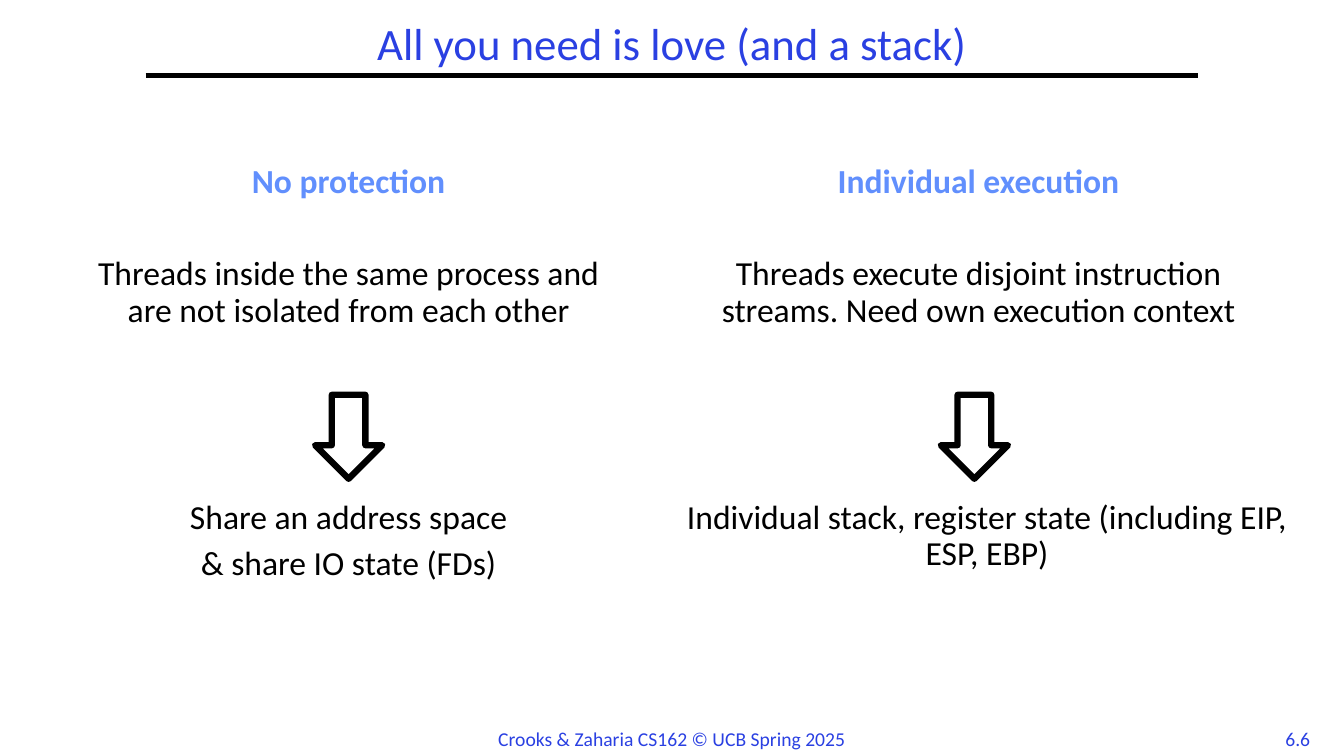
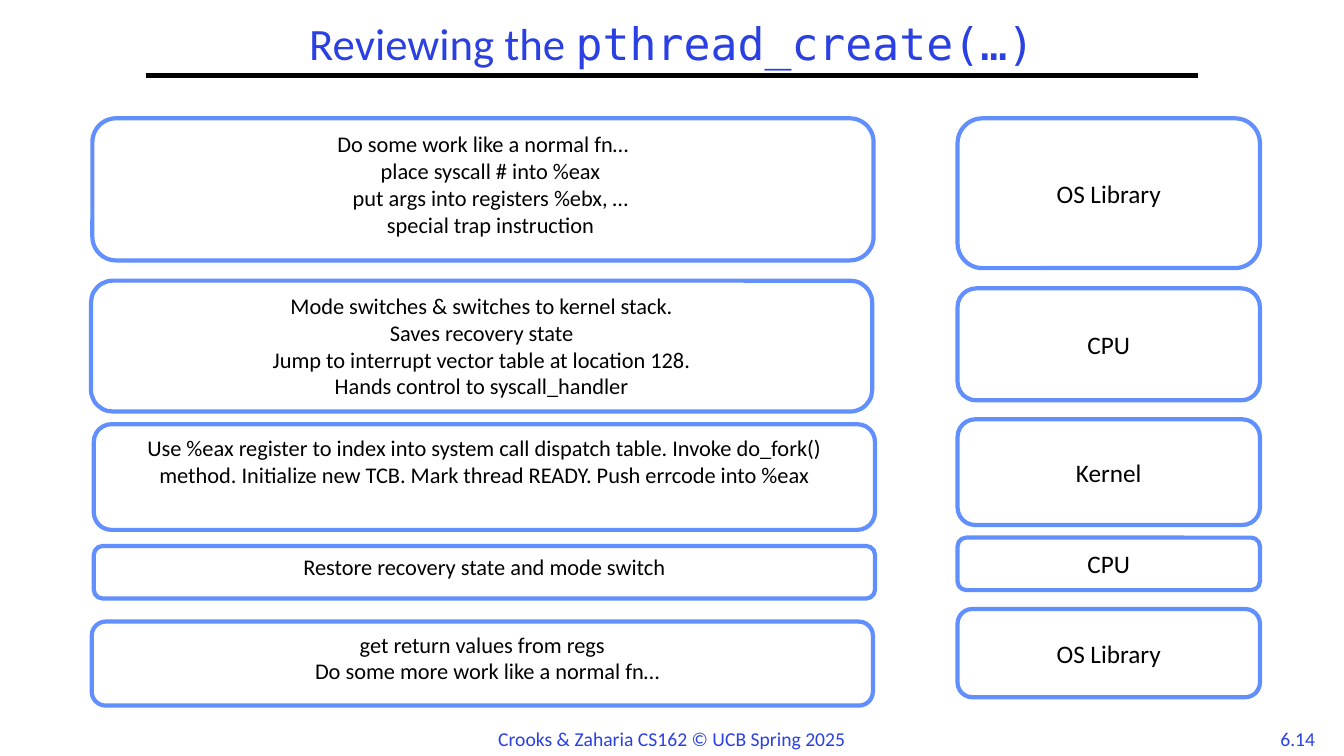
from lxml import etree
from pptx import Presentation
from pptx.dml.color import RGBColor
from pptx.enum import shapes, text
from pptx.oxml.ns import qn
from pptx.util import Pt

COLORS = {
    name: RGBColor.from_string(value)
    for name, value in {
        "title": "2A40E2", "accent": "618FFD", "ink": "000000", "paper": "FFFFFF",
    }.items()
}
FONT, MONO = "Calibri", "DejaVu Sans Mono"
FOOTER = "Crooks & Zaharia CS162 © UCB Spring 2025"
TIGHT = 0.9  # line spacing of titles and body text
TITLE_LEFT, TITLE_WIDTH, RULE_TOP = 104, 752, 54


def write(sp, lines, size, color="ink", anchor=text.MSO_ANCHOR.TOP, spacing=None):
    """Fill a shape with centred paragraphs and return them."""
    tf = sp.text_frame
    tf.word_wrap = True
    tf.vertical_anchor = anchor
    for i, line in enumerate(lines):
        p = tf.add_paragraph() if i else tf.paragraphs[0]
        p.text = line
        p.alignment = text.PP_ALIGN.CENTER
        p.line_spacing = spacing
        p.font.name, p.font.size = FONT, Pt(size)
        p.font.color.rgb = COLORS[color]
    return tf.paragraphs


def outlined(s, kind, box, color, weight):
    """Add a white preset shape with a coloured outline."""
    sp = s.shapes.add_shape(kind, *map(Pt, box))
    sp.shadow.inherit = False
    sp.fill.solid()
    sp.fill.fore_color.rgb = COLORS["paper"]
    sp.line.color.rgb = COLORS[color]
    sp.line.width = Pt(weight)
    return sp


prs = Presentation()
prs.slide_width, prs.slide_height = Pt(960), Pt(540)

# Shared parts: title, rule, footer and page number
for title, mono_title, number in [
    ("All you need is love (and a stack)", "", "6.6"),
    ("Reviewing the ", "pthread_create(…)", "6.14"),
]:
    s = prs.slides.add_slide(prs.slide_layouts[6])

    sp = s.shapes.add_textbox(Pt(TITLE_LEFT), Pt(12), Pt(TITLE_WIDTH), Pt(42))
    p = write(sp, [title], 32, "title", text.MSO_ANCHOR.MIDDLE, TIGHT)[0]
    if mono_title:
        r = p.add_run()
        r.text, r.font.name = mono_title, MONO

    rule = s.shapes.add_connector(
        shapes.MSO_CONNECTOR.STRAIGHT,
        Pt(TITLE_LEFT), Pt(RULE_TOP), Pt(TITLE_LEFT + TITLE_WIDTH), Pt(RULE_TOP))
    rule.line.color.rgb = COLORS["ink"]
    rule.line.width = Pt(3)
    etree.SubElement(rule._element.spPr, qn("a:effectLst"))  # no shadow

    for left, width, label in [(340, 280, FOOTER), (902, 50, number)]:
        sp = s.shapes.add_textbox(Pt(left), Pt(515.5), Pt(width), Pt(24))
        write(sp, [label], 14, "title")

threads_slide, create_slide = prs.slides

# Threads slide: each column has a heading, a reason, an arrow and a result
COLUMN_WIDTH = 390
columns = [
    # left, heading, reason, arrow left, result left, result width, result
    (54, "No protection",
     "Threads inside the same process and are not isolated from each other",
     225, 54, COLUMN_WIDTH, ["Share an address space", "& share IO state (FDs)"]),
    (504, "Individual execution",
     "Threads execute disjoint instruction streams. Need own execution context",
     672, 462, 486, ["Individual stack, register state (including EIP, ESP, EBP)"]),
]
for left, heading, reason, arrow_left, result_left, result_width, result in columns:
    sp = threads_slide.shapes.add_textbox(Pt(left), Pt(114), Pt(COLUMN_WIDTH), Pt(192))
    head, body = write(sp, [heading, reason], 24, spacing=TIGHT)
    head.font.bold = True
    head.font.color.rgb = COLORS["accent"]
    body.space_before = Pt(40)

    arrow_box = (arrow_left, 282, 48, 60)
    outlined(threads_slide, shapes.MSO_SHAPE.DOWN_ARROW, arrow_box, "ink", 4.5)

    sp = threads_slide.shapes.add_textbox(Pt(result_left), Pt(354), Pt(result_width), Pt(42))
    for p in write(sp, result, 24, spacing=TIGHT)[1:]:
        p.space_before = Pt(6.6)

# Create slide: each row pairs a step on the left with its actor on the right
ACTOR_LEFT, ACTOR_WIDTH, STEP_WIDTH = 684, 216, 558
rows = [
    # actor, actor top and height, step left, top and height, later indent, lines
    ("OS Library", (84.5, 107), (66, 84.5, 101.5), 10.8,
     ["Do some work like a normal fn…", "place syscall # into %eax",
      "put args into registers %ebx, …", "special trap instruction"]),
    ("CPU", (206, 80), (65, 200.5, 93.5), 0,
     ["Mode switches & switches to kernel stack.", "Saves recovery state",
      "Jump to interrupt vector table at location 128.",
      "Hands control to syscall_handler"]),
    ("Kernel", (299.5, 75.5), (67, 303, 75.5), 0,
     ["Use %eax register to index into system call dispatch table. Invoke do_fork() "
      "method. Initialize new TCB. Mark thread READY. Push errcode into %eax"]),
    ("CPU", (384, 37.5), (67, 390, 37.5), 0,
     ["Restore recovery state and mode switch"]),
    ("OS Library", (435, 63), (65.5, 444, 60), 7.2,
     ["get return values from regs", "Do some more work like a normal fn…"]),
]
for actor, (actor_top, actor_height), (left, top, height), indent, lines in rows:
    step_box = (left, top, STEP_WIDTH, height)
    sp = outlined(create_slide, shapes.MSO_SHAPE.ROUNDED_RECTANGLE, step_box, "accent", 3)
    for p in write(sp, lines, 16)[1:]:
        p._p.get_or_add_pPr().set("marL", str(Pt(indent)))

    actor_box = (ACTOR_LEFT, actor_top, ACTOR_WIDTH, actor_height)
    sp = outlined(create_slide, shapes.MSO_SHAPE.ROUNDED_RECTANGLE, actor_box, "accent", 3)
    write(sp, [actor], 18, anchor=text.MSO_ANCHOR.MIDDLE)

prs.save("out.pptx")
